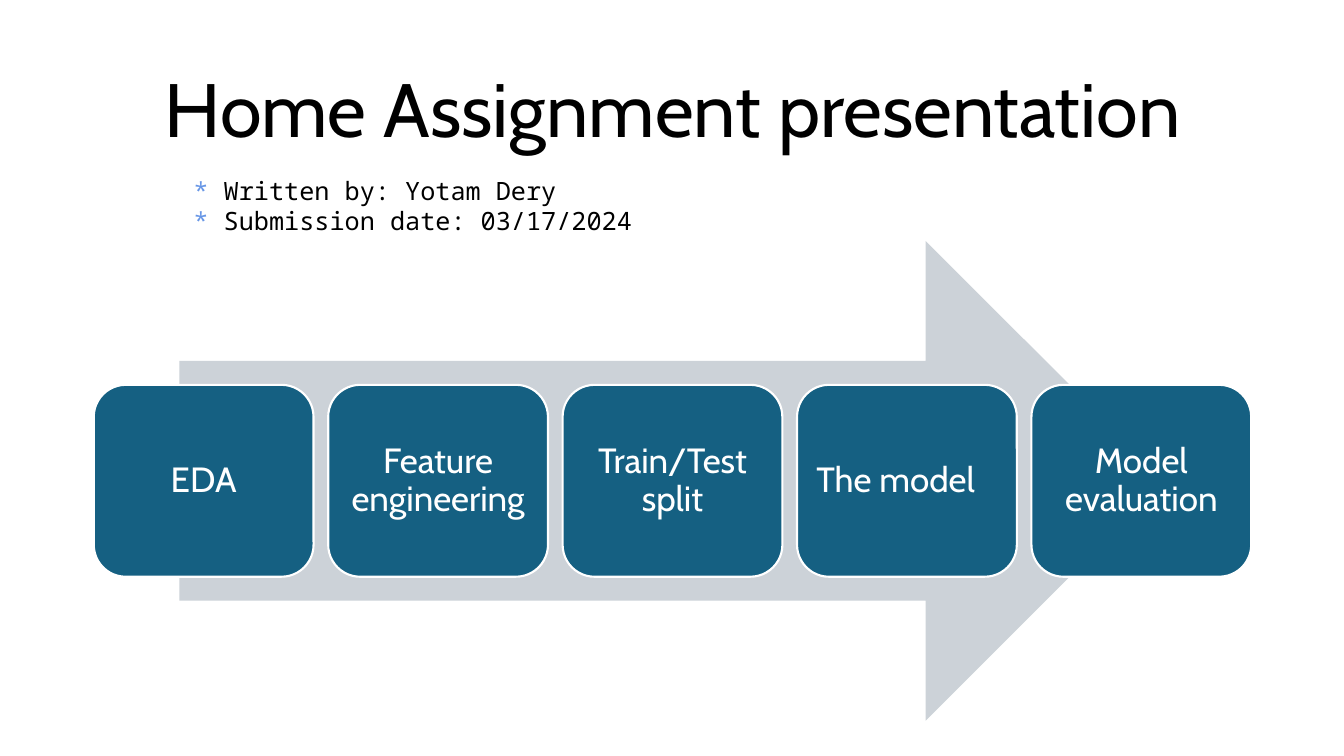
from pptx import Presentation
from pptx.dml.color import RGBColor
from pptx.enum import shapes, text
from pptx.util import Inches, Pt

BLACK = RGBColor(0x00, 0x00, 0x00)
WHITE = RGBColor(0xFF, 0xFF, 0xFF)
ARROW_GREY = RGBColor(0xCC, 0xD2, 0xD8)
STEP_BLUE = RGBColor(0x15, 0x60, 0x82)
MARK_BLUE = RGBColor(0x67, 0x96, 0xE6)
HEADING_FONT = "Cabin"
MONO_FONT = "Noto Sans Mono"

STEPS = ["EDA", "Feature engineering", "Train/Test split", "The model\t", "Model evaluation"]
DETAILS = ["Written by: Yotam Dery", "Submission date: 03/17/2024"]


def add_run(paragraph, words, font, size, color):
    run = paragraph.add_run()
    run.text = words
    run.font.name = font
    run.font.size = Pt(size)
    run.font.color.rgb = color


def add_block(slide, kind, left, top, width, height, color):
    shape = slide.shapes.add_shape(
        kind, Inches(left), Inches(top), Inches(width), Inches(height))
    shape.shadow.inherit = False
    shape.fill.solid()
    shape.fill.fore_color.rgb = color
    shape.line.fill.background()
    return shape


def add_title(slide, left, top, width, height):
    title = slide.shapes.title
    title.left, title.top = Inches(left), Inches(top)
    title.width, title.height = Inches(width), Inches(height)
    frame = title.text_frame
    frame.auto_size = text.MSO_AUTO_SIZE.NONE
    frame.vertical_anchor = text.MSO_ANCHOR.MIDDLE
    paragraph = frame.paragraphs[0]
    paragraph.alignment = text.PP_ALIGN.CENTER
    paragraph.line_spacing = 0.9
    add_run(paragraph, "Home Assignment presentation", HEADING_FONT, 54, BLACK)


def add_details(slide, left, top, width, height):
    box = slide.shapes.add_textbox(
        Inches(left), Inches(top), Inches(width), Inches(height))
    frame = box.text_frame
    frame.word_wrap = True
    frame.auto_size = text.MSO_AUTO_SIZE.SHAPE_TO_FIT_TEXT
    for index, detail in enumerate(DETAILS):
        paragraph = frame.add_paragraph() if index else frame.paragraphs[0]
        add_run(paragraph, "* ", MONO_FONT, 18, MARK_BLUE)
        add_run(paragraph, detail, MONO_FONT, 18, BLACK)


def add_process(slide, left, top, width, height):
    # Arrow behind the steps, centred in the region
    arrow_width = 0.852 * width
    add_block(slide, shapes.MSO_SHAPE.RIGHT_ARROW,
              left + (width - arrow_width) / 2, top, arrow_width, height, ARROW_GREY)

    # Evenly spaced steps across the middle of the arrow
    step_width, step_height = 2.18, 0.4 * height
    pitch = (width - step_width) / (len(STEPS) - 1)
    for index, step in enumerate(STEPS):
        shape = add_block(slide, shapes.MSO_SHAPE.ROUNDED_RECTANGLE,
                          left + index * pitch, top + (height - step_height) / 2,
                          step_width, step_height, STEP_BLUE)
        shape.line.color.rgb = WHITE
        shape.line.width = Pt(1.5)
        frame = shape.text_frame
        frame.word_wrap = True
        frame.vertical_anchor = text.MSO_ANCHOR.MIDDLE
        frame.margin_left = frame.margin_right = Inches(0.1)
        frame.margin_top = frame.margin_bottom = Inches(0.1)
        paragraph = frame.paragraphs[0]
        paragraph.alignment = text.PP_ALIGN.CENTER
        paragraph.line_spacing = 0.9
        add_run(paragraph, step, HEADING_FONT, 25, WHITE)


def main():
    presentation = Presentation()
    presentation.slide_width = Inches(13.33)
    presentation.slide_height = Inches(7.5)
    title_only = presentation.slide_layouts[5]
    slide = presentation.slides.add_slide(title_only)
    add_process(slide, 0.93, 2.39, 11.48, 4.76)
    add_title(slide, 0.92, 0.4, 11.5, 1.45)
    add_details(slide, 1.82, 1.69, 6.67, 0.71)
    presentation.save("out.pptx")


if __name__ == "__main__":
    main()
